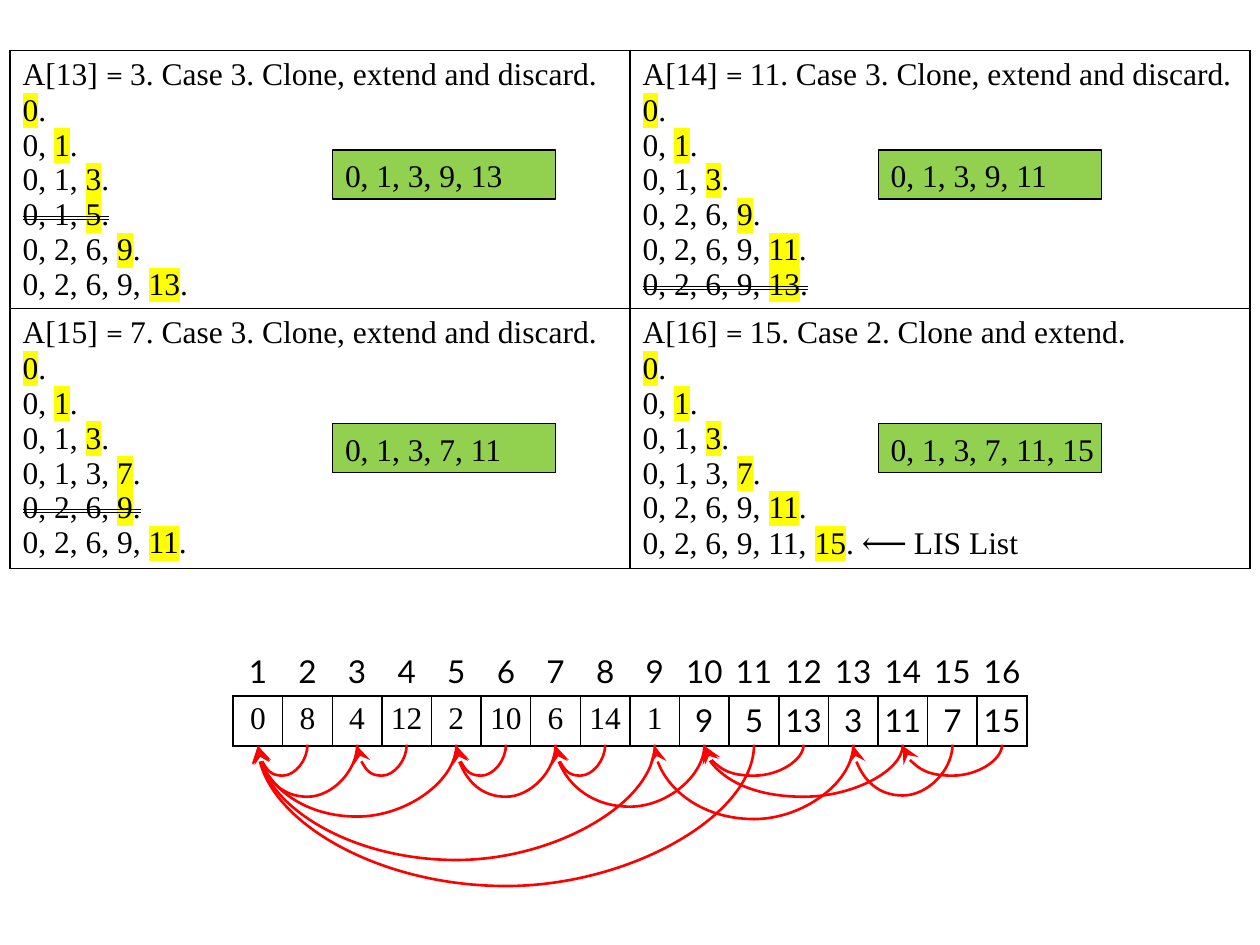
from lxml import etree
from pptx import Presentation
from pptx.dml.color import RGBColor
from pptx.enum.shapes import MSO_CONNECTOR
from pptx.enum.text import MSO_ANCHOR, PP_ALIGN
from pptx.oxml.ns import qn
from pptx.util import Inches, Pt

CURVE = MSO_CONNECTOR.CURVE
CENTER = PP_ALIGN.CENTER
MIDDLE, TOP = MSO_ANCHOR.MIDDLE, MSO_ANCHOR.TOP

COLORS = {"ink": "000000", "mark": "FFFF00", "result": "92D050", "arc": "FF0000"}
SERIF, SANS, MATH = "Times New Roman", "Lato", "Cambria"
PLAIN_TABLE = "{2D5ABB26-0587-4C30-8999-92F81FD0307C}"

STEPS = [
    {"index": "A[13] ", "rule": "3. Case 3. Clone, extend and discard.",
     "lists": ["0", "0, 1", "0, 1, 3", "0, 1, 5", "0, 2, 6, 9", "0, 2, 6, 9, 13"],
     "discarded": "0, 1, 5", "tails": "0, 1, 3, 9, 13"},
    {"index": "A[14] ", "rule": "11. Case 3. Clone, extend and discard.",
     "lists": ["0", "0, 1", "0, 1, 3", "0, 2, 6, 9", "0, 2, 6, 9, 11", "0, 2, 6, 9, 13"],
     "discarded": "0, 2, 6, 9, 13", "tails": "0, 1, 3, 9, 11"},
    {"index": "A[15] ", "rule": "7. Case 3. Clone, extend and discard.",
     "lists": ["0", "0, 1", "0, 1, 3", "0, 1, 3, 7", "0, 2, 6, 9", "0, 2, 6, 9, 11"],
     "discarded": "0, 2, 6, 9", "tails": "0, 1, 3, 7, 11"},
    {"index": "A[16] ", "rule": "15. Case 2. Clone and extend.",
     "lists": ["0", "0, 1", "0, 1, 3", "0, 1, 3, 7", "0, 2, 6, 9, 11", "0, 2, 6, 9, 11, 15"],
     "discarded": None, "tails": "0, 1, 3, 7, 11, 15"},
]
SEQUENCE = [0, 8, 4, 12, 2, 10, 6, 14, 1, 9, 5, 13, 3, 11, 7, 15]
SERIF_COUNT = 9
PREDECESSORS = [
    (2, 1, 0.25), (3, 1, 0.42), (6, 5, 0.25), (7, 5, 0.42), (10, 7, 0.5),
    (12, 10, 0.25), (14, 10, 0.42), (16, 14, 0.25), (4, 3, 0.25), (8, 7, 0.25),
    (9, 1, 0.93), (5, 1, 0.58), (11, 1, 1.14), (13, 9, 0.6), (15, 13, 0.41),
]


def color(name):
    """Return the named palette colour."""
    return RGBColor.from_string(COLORS[name])


def add_run(paragraph, text, font_name=SERIF, marked=False, struck=False):
    """Append a run, highlighted or struck out on request."""
    run = paragraph.add_run()
    run.text = text
    run.font.size = Pt(18)
    run.font.color.rgb = color("ink")
    run.font.name = font_name
    properties = run._r.get_or_add_rPr()
    if marked:
        highlight = etree.Element(qn("a:highlight"))
        etree.SubElement(highlight, qn("a:srgbClr"), val=COLORS["mark"])
        properties.find(qn("a:solidFill")).addnext(highlight)
    if struck:
        properties.set("strike", "dblStrike")


def style_cell(cell, sides):
    """Clear a cell's fill and rule the given sides."""
    properties = cell._tc.get_or_add_tcPr()
    for side in sides:
        border = etree.SubElement(properties, qn(f"a:ln{side}"), w=str(Pt(1)))
        fill = etree.SubElement(border, qn("a:solidFill"))
        etree.SubElement(fill, qn("a:srgbClr"), val=COLORS["ink"])
    cell.fill.background()


def add_plain_table(slide, rows, columns, left, top, width, height):
    """Add an evenly divided table without a banded style."""
    frame = slide.shapes.add_table(rows, columns, left, top, width, height)
    frame.element.find(f".//{qn('a:tableStyleId')}").text = PLAIN_TABLE
    table = frame.table
    table.first_row = table.horz_banding = False
    for column in table.columns:
        column.width = width // columns
    return table


def fill_step(cell, step):
    """Write one step's heading and its candidate lists."""
    heading = cell.text_frame.paragraphs[0]
    add_run(heading, step["index"])
    add_run(heading, "= ", MATH)
    add_run(heading, step["rule"])
    for candidate in step["lists"]:
        line = cell.text_frame.add_paragraph()
        head, comma, last = candidate.rpartition(", ")
        struck = candidate == step["discarded"]
        if head:
            add_run(line, head + comma, struck=struck)
        add_run(line, last, marked=True, struck=struck)
        add_run(line, ".", struck=struck)
    if step["discarded"] is None:
        add_run(line, " ")
        add_run(line, "⟵ ", MATH)
        add_run(line, "LIS List")


def add_tails(slide, text, left, top):
    """Place the green box that holds the last elements of the lists."""
    tails = slide.shapes.add_textbox(left, top, Inches(1.77), Inches(0.39))
    tails.fill.solid()
    tails.fill.fore_color.rgb = color("result")
    tails.line.color.rgb = color("ink")
    tails.line.width = Pt(0.75)
    tails.text_frame.word_wrap = False
    tails.text_frame.margin_right = 0
    add_run(tails.text_frame.paragraphs[0], text)


def add_steps(slide, left, top, width, height):
    """Build the two-by-two grid of steps with their green boxes."""
    table = add_plain_table(slide, 2, 2, left, top, width, height)
    for number, step in enumerate(STEPS):
        row, column = divmod(number, 2)
        cell = table.cell(row, column)
        if column:
            cell.margin_right = Inches(0.04)
        style_cell(cell, "LRTB")
        fill_step(cell, step)
        add_tails(slide, step["tails"], left + Inches(2.56 + 4.33 * column),
                  top + Inches(0.79 + 2.17 * row))


def fill_number(cell, number, font_name, anchor, sides):
    """Write one centred number into a cell of the sequence."""
    cell.margin_left = cell.margin_right = 0
    cell.margin_top = cell.margin_bottom = Inches(0.04)
    cell.vertical_anchor = anchor
    style_cell(cell, sides)
    paragraph = cell.text_frame.paragraphs[0]
    paragraph.alignment = CENTER
    add_run(paragraph, str(number), font_name)


def add_arc(slide, start_x, end_x, y, depth):
    """Draw a curved arrow that hangs below y from start_x to end_x."""
    drop = Inches(0.01)
    middle_x, span = (start_x + end_x) // 2, start_x - end_x
    left, top = middle_x - drop // 2, y + drop // 2 - span // 2
    arc = slide.shapes.add_connector(CURVE, left, top, left + drop, top + span)
    arc.line.color.rgb = color("arc")
    arc.line.width = Pt(1.5)
    properties = arc.element.spPr
    properties.find(qn("a:xfrm")).set("rot", "5400000")
    bend = properties.find(qn("a:prstGeom")).get_or_add_avLst()
    ratio = round(Inches(depth) / drop * 100000)
    etree.SubElement(bend, qn("a:gd"), name="adj1", fmla=f"val {ratio}")
    etree.SubElement(properties.find(qn("a:ln")), qn("a:tailEnd"),
                     type="stealth", w="lg", len="lg")
    etree.SubElement(properties, qn("a:effectLst"))


def add_sequence(slide, left, top, width, height):
    """Build the indexed sequence and the arcs to each predecessor."""
    count = len(SEQUENCE)
    table = add_plain_table(slide, 2, count, left, top, width, height)
    for position, value in enumerate(SEQUENCE):
        value_font = SERIF if position < SERIF_COUNT else SANS
        fill_number(table.cell(0, position), position + 1, SANS, MIDDLE, "B")
        fill_number(table.cell(1, position), value, value_font, TOP, "LRTB")
    pitch = width / count
    for element, predecessor, depth in PREDECESSORS:
        start_x, end_x = (round(left + pitch * (place - 0.5))
                          for place in (element, predecessor))
        add_arc(slide, start_x, end_x, top + height - Inches(0.01), depth)


def main():
    """Build and save the slide."""
    deck = Presentation()
    deck.slide_width, deck.slide_height = Inches(10), Inches(7.5)
    slide = deck.slides.add_slide(deck.slide_layouts[6])
    add_steps(slide, Inches(0.08), Inches(0.4), Inches(9.84), Inches(4.1))
    add_sequence(slide, Inches(1.85), Inches(5.13), Inches(6.3), Inches(0.79))
    deck.save("out.pptx")


if __name__ == "__main__":
    main()
